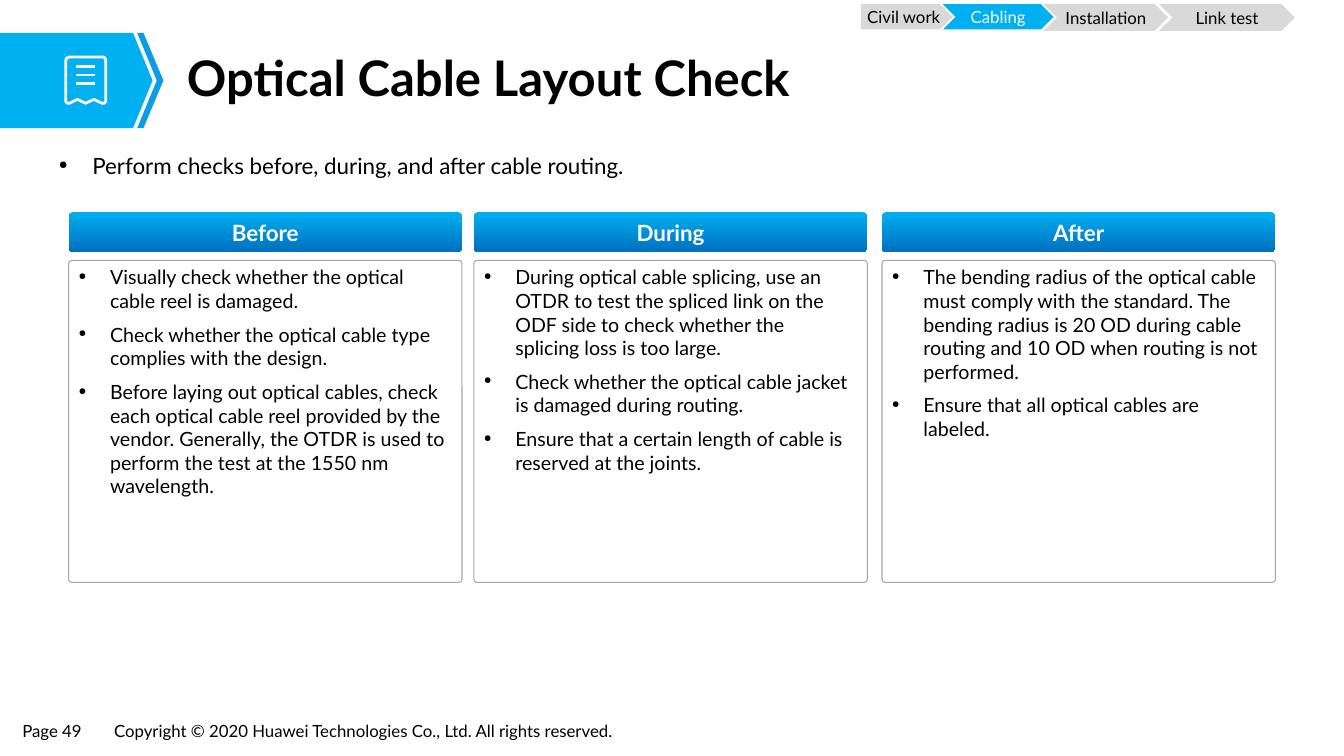
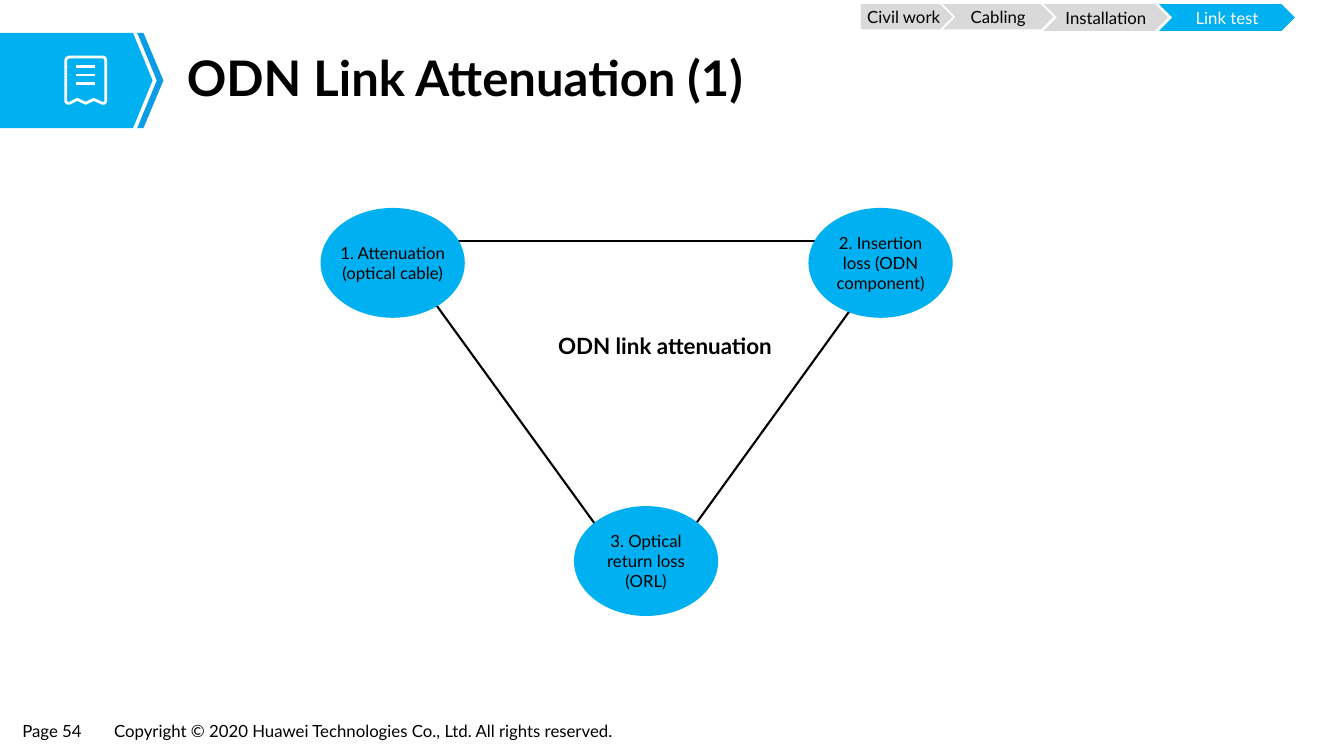
import pptx
import pptx.util
import pptx.dml.color
import pptx.enum.shapes
import pptx.enum.text
import lxml.etree
import pptx.oxml.ns

Pt = pptx.util.Pt
RGB = pptx.dml.color.RGBColor
SHAPE = pptx.enum.shapes.MSO_SHAPE
ALIGN = pptx.enum.text.PP_ALIGN
ANCHOR = pptx.enum.text.MSO_ANCHOR
qn = pptx.oxml.ns.qn

# Colours and text styles
BLACK = RGB(0x00, 0x00, 0x00)
WHITE = RGB(0xFF, 0xFF, 0xFF)
CYAN = RGB(0x00, 0xB0, 0xF0)
EDGE_BLUE = RGB(0x0B, 0x9C, 0xE5)
DEEP_BLUE = RGB(0x00, 0x70, 0xC0)
GREY = RGB(0xD9, 0xD9, 0xD9)
FRAME_GREY = RGB(0xA6, 0xA6, 0xA6)
TITLE = {"size": Pt(35), "bold": True}
HEADING = {"size": Pt(16), "bold": True}
LEAD = {"size": Pt(16)}
BODY = {"size": Pt(14)}
SMALL = {"size": Pt(12)}
DEFAULT_INSETS = (7.2, 3.6)
TIGHT_INSETS = (6.5, 3)


def add_box(s, rect, texts=(), font=SMALL, color=BLACK, kind=None, fill=None,
            align=ALIGN.CENTER, anchor=ANCHOR.MIDDLE, insets=DEFAULT_INSETS,
            wrap=True, indent=0, para=None):
    """Add a text box, or a preset shape if kind is given; indent adds bullets."""
    rect = [Pt(v) for v in rect]
    if kind is None:
        sp = s.shapes.add_textbox(*rect)
    else:
        sp = s.shapes.add_shape(kind, *rect)
        sp.shadow.inherit = False
        sp.line.fill.background()
        if fill is None:
            sp.fill.background()
        else:
            sp.fill.solid()
            sp.fill.fore_color.rgb = fill
    tf = sp.text_frame
    across, down = (Pt(v) for v in insets)
    frame = {"word_wrap": wrap, "vertical_anchor": anchor,
             "margin_left": across, "margin_right": across,
             "margin_top": down, "margin_bottom": down}
    for name, value in frame.items():
        setattr(tf, name, value)
    for i, text in enumerate(texts):
        p = tf.add_paragraph() if i else tf.paragraphs[0]
        p.alignment = align
        for name, value in (para or {}).items():
            if i or name != "space_before":
                setattr(p, name, value)
        if indent:
            pPr = p._p.get_or_add_pPr()
            pPr.set("marL", str(Pt(indent)))
            pPr.set("indent", str(-Pt(indent)))
            lxml.etree.SubElement(pPr, qn("a:buSzPct")).set("val", "50000")
            lxml.etree.SubElement(pPr, qn("a:buChar")).set("char", "●")
        r = p.add_run()
        r.text = text
        r.font.color.rgb = color
        for name, value in {"name": "Lato", **font}.items():
            setattr(r.font, name, value)
    return sp


def add_line(s, ends, color, width):
    line = s.shapes.add_connector(pptx.enum.shapes.MSO_CONNECTOR.STRAIGHT,
                                  *[Pt(v) for v in ends])
    line.line.color.rgb = color
    line.line.width = Pt(width)
    lxml.etree.SubElement(line._element.spPr, qn("a:effectLst"))


prs = pptx.Presentation()
prs.slide_width, prs.slide_height = Pt(960), Pt(540)

# Title band: arrow, edge stripe and the outline of the paper icon
ARROW = [(95, 91.5), (0, 91.5), (0, 23.5), (95, 23.5), (109, 57.5)]
STRIPE = [(102.5, 23.5), (98, 23.5), (112, 57.5), (98, 91.5),
          (102.5, 91.5), (116.75, 57.5)]
PAPER = [(49.5, 40.7), (73.5, 40.7), (75, 41.5), (75.5, 43), (75.5, 72.5),
         (74.5, 73.8), (73, 73.8), (67, 71), (61.2, 73.8), (55.3, 71), (49.5, 73.8),
         (48, 73.8), (47, 72.5), (47, 43), (47.7, 41.5)]
STEPS = [("Civil work", SHAPE.PENTAGON, 615, 65.5, 18),
         ("Cabling", SHAPE.CHEVRON, 673.5, 79, 18),
         ("Installation", SHAPE.CHEVRON, 745.5, 89, 19),
         ("Link test", SHAPE.CHEVRON, 828, 97, 19)]
PAGES = [("Optical Cable Layout Check", 49, "Cabling"),
         ("ODN Link Attenuation (1)", 54, "Link test")]

# Parts shared by all slides
slides = []
for title, page, current in PAGES:
    s = prs.slides.add_slide(prs.slide_layouts[6])
    slides.append(s)

    for points, fill in ((ARROW, CYAN), (STRIPE, EDGE_BLUE), (PAPER, None)):
        corners = [(Pt(x), Pt(y)) for x, y in points]
        fb = s.shapes.build_freeform(*corners[0], scale=1.0)
        fb.add_line_segments(corners[1:], close=True)
        sp = fb.convert_to_shape()
        sp.shadow.inherit = False
        if fill is None:
            sp.fill.background()
            sp.line.color.rgb = WHITE
            sp.line.width = Pt(2)
        else:
            sp.fill.solid()
            sp.fill.fore_color.rgb = fill
            sp.line.fill.background()
    for row in range(3):
        y = 47.5 + 6 * row
        add_line(s, (54.5, y, 68, y), WHITE, 1.75)

    add_box(s, (125.5, 32.5, 774, 50), [title], TITLE, align=ALIGN.LEFT,
            insets=(8, 4), para={"line_spacing": 0.9})

    for label, kind, x, width, height in STEPS:
        active = label == current
        add_box(s, (x, 3, width, height), [label], kind=kind, insets=(0, 0),
                color=WHITE if active else BLACK, fill=CYAN if active else GREY)

    footers = ((f"Page {page}", 9.5, 58),
               ("Copyright © 2020 Huawei Technologies Co., Ltd. All rights reserved.", 75, 390))
    for text, x, width in footers:
        add_box(s, (x, 512, width, 21), [text], align=ALIGN.LEFT,
                anchor=ANCHOR.TOP, insets=TIGHT_INSETS, wrap=False)

check_slide, loss_slide = slides

# Checks: lead sentence and three columns
add_box(check_slide, (35.5, 98, 890, 40), ["Perform checks before, during, and after cable routing."],
        LEAD, align=ALIGN.JUSTIFY, anchor=ANCHOR.TOP, insets=TIGHT_INSETS,
        indent=24, para={"line_spacing": 1.4})

COLUMNS = [
    ("Before", 49, [
        "Visually check whether the optical cable reel is damaged.",
        "Check whether the optical cable type complies with the design.",
        "Before laying out optical cables, check each optical cable reel provided by the "
        "vendor. Generally, the OTDR is used to perform the test at the 1550 nm wavelength."]),
    ("During", 338.5, [
        "During optical cable splicing, use an OTDR to test the spliced link on the ODF side "
        "to check whether the splicing loss is too large.",
        "Check whether the optical cable jacket is damaged during routing.",
        "Ensure that a certain length of cable is reserved at the joints."]),
    ("After", 630, [
        "The bending radius of the optical cable must comply with the standard. The bending "
        "radius is 20 OD during cable routing and 10 OD when routing is not performed.",
        "Ensure that all optical cables are labeled."]),
]
for heading, x, checks in COLUMNS:
    sp = add_box(check_slide, (x, 151.5, 281, 28.5), [heading], HEADING, WHITE,
                 kind=SHAPE.ROUNDED_RECTANGLE, fill=CYAN)
    sp.adjustments[0] = 0.11
    sp.fill.gradient()
    sp.fill.gradient_angle = 270
    for stop, color in zip(sp.fill.gradient_stops, (CYAN, DEEP_BLUE)):
        stop.color.rgb = color

    sp = add_box(check_slide, (x, 186, 281, 230), kind=SHAPE.ROUNDED_RECTANGLE)
    sp.adjustments[0] = 0.01
    sp.line.color.rgb = FRAME_GREY
    sp.line.width = Pt(0.75)
    add_box(check_slide, (x, 186, 278, 224), checks, BODY, align=ALIGN.LEFT,
            anchor=ANCHOR.TOP, indent=22.5, para={"space_before": Pt(7.4)})

# Attenuation: triangle of losses
for ends in ((461, 424, 284.5, 180.5), (461, 424, 637, 180.5), (654.5, 172, 267, 172)):
    add_line(loss_slide, ends, BLACK, 1.5)
add_box(loss_slide, (376, 212.5, 198, 68), ["ODN link attenuation"], HEADING)

LOSSES = [("1. Attenuation (optical cable)", 229, 148.5),
          ("2. Insertion loss (ODN component)", 577.5, 148.5),
          ("3. Optical return loss (ORL)", 410, 361.5)]
for text, x, y in LOSSES:
    add_box(loss_slide, (x, y, 103, 78.5), kind=SHAPE.OVAL, fill=CYAN)
    add_box(loss_slide, (x + 4, y, 95, 78.5), [text])

prs.save("out.pptx")
